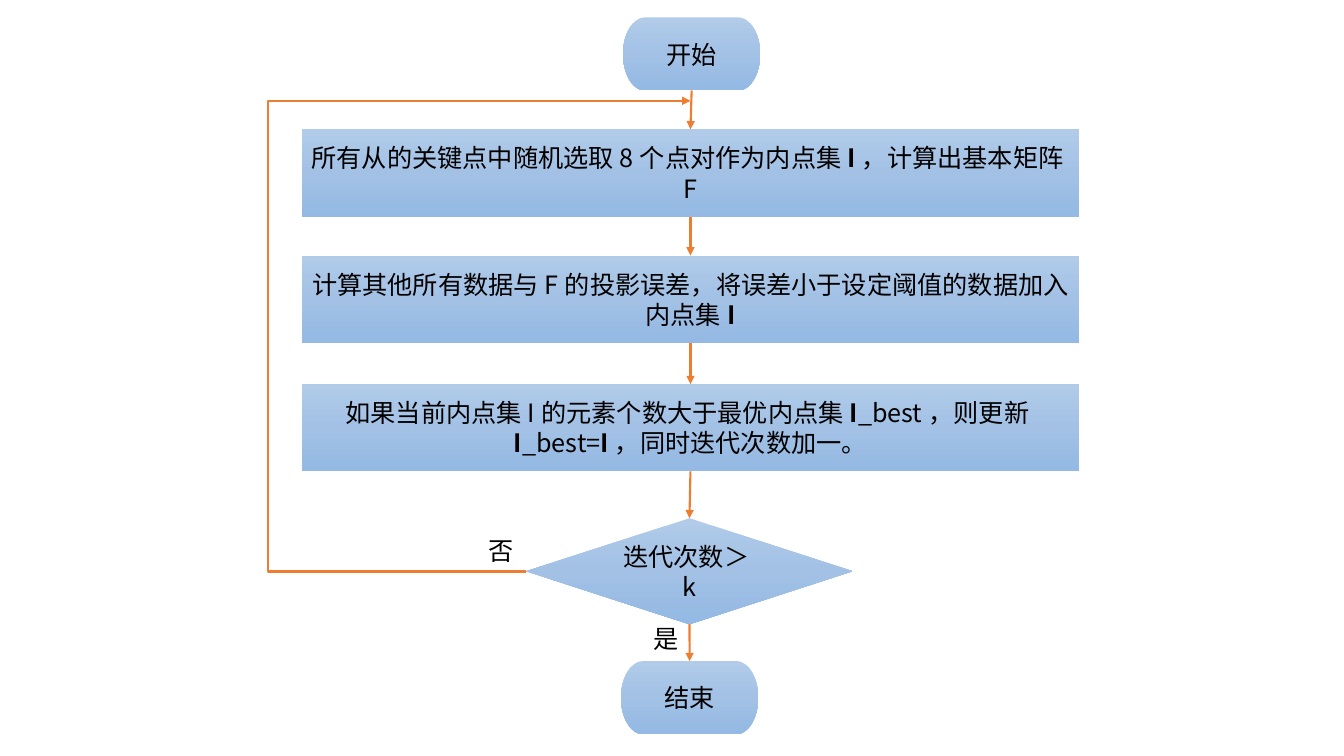
from copy import deepcopy
from dataclasses import dataclass

from lxml.etree import SubElement
from pptx import Presentation
from pptx.dml.color import RGBColor
from pptx.enum.shapes import MSO_CONNECTOR, MSO_SHAPE
from pptx.enum.text import MSO_ANCHOR, MSO_AUTO_SIZE, PP_ALIGN
from pptx.oxml.ns import qn
from pptx.util import Cm, Pt


@dataclass(frozen=True)
class Theme:
    """Colours, font and sizes of the flow chart."""
    font: str = "Noto Sans CJK SC"
    size: int = 18
    ink: str = "000000"
    line: str = "ED7D31"
    weight: float = 1.5
    shades: tuple = ("B1CBE9", "A3C1E5", "93B9E4")


class Chart:
    """Draws flow chart parts on one slide."""

    def __init__(self, slide, theme):
        """Keep the slide and its theme."""
        self.shapes = slide.shapes
        self.theme = theme

    def letter(self, frame, text, align):
        """Fill a text frame; parts between asterisks are bold."""
        frame.word_wrap = True
        para = frame.paragraphs[0]
        para.alignment = align
        for index, part in enumerate(text.split("*")):
            if not part:
                continue
            run = para.add_run()
            run.text = part
            font = run.font
            font.size = Pt(self.theme.size)
            font.name = self.theme.font
            font.bold = index % 2 == 1
            font.color.rgb = RGBColor.from_string(self.theme.ink)
            props = run._r.get_or_add_rPr()
            SubElement(props, qn("a:ea"), typeface=self.theme.font)

    def shade(self, fill):
        """Apply the three-stop gradient from top to bottom."""
        fill.gradient()
        fill.gradient_angle = 270
        first = fill.gradient_stops[0]._gs
        first.addnext(deepcopy(first))
        for index, (stop, tone) in enumerate(zip(fill.gradient_stops, self.theme.shades)):
            stop.position = index / 2
            stop.color.rgb = RGBColor.from_string(tone)

    def node(self, kind, text, left, top, width, height):
        """Add a shaded step with centred text."""
        shape = self.shapes.add_shape(kind, Cm(left), Cm(top), Cm(width), Cm(height))
        shape.shadow.inherit = False
        shape.line.fill.background()
        self.shade(shape.fill)
        shape.text_frame.vertical_anchor = MSO_ANCHOR.MIDDLE
        self.letter(shape.text_frame, text, PP_ALIGN.CENTER)
        return shape

    def label(self, text, left, top):
        """Add a branch label."""
        box = self.shapes.add_textbox(Cm(left), Cm(top), Cm(1.45), Cm(1.02))
        box.text_frame.auto_size = MSO_AUTO_SIZE.SHAPE_TO_FIT_TEXT
        self.letter(box.text_frame, text, PP_ALIGN.LEFT)

    def arrow(self, kind, start=(0, 0), end=(0, 0)):
        """Add a connector with an arrowhead at its end."""
        link = self.shapes.add_connector(kind, *map(Cm, start + end))
        link.line.color.rgb = RGBColor.from_string(self.theme.line)
        link.line.width = Pt(self.theme.weight)
        props = link._element.spPr
        SubElement(props.find(qn("a:ln")), qn("a:tailEnd"), type="triangle")
        SubElement(props, qn("a:effectLst"))
        return link

    def join(self, upper, lower):
        """Link the bottom of one step to the top of the next."""
        link = self.arrow(MSO_CONNECTOR.STRAIGHT)
        link.begin_connect(upper, 2)
        link.end_connect(lower, 0)

    def loop(self, start, end, side):
        """Lead an arrow from start out to side, then up and across to end."""
        props = self.arrow(MSO_CONNECTOR.ELBOW, start, end)._element.spPr
        frame = props.find(qn("a:xfrm"))
        frame.attrib.pop("flipV", None)
        frame.set("rot", "10800000")
        frame.set("flipH", "1")
        geom = props.find(qn("a:prstGeom"))
        geom.set("prst", "bentConnector4")
        guides = geom.find(qn("a:avLst"))
        ratio = (side - start[0]) / (end[0] - start[0])
        for name, value in (("adj1", ratio), ("adj2", 1)):
            SubElement(guides, qn("a:gd"), name=name, fmla=f"val {round(value * 100000)}")


def main():
    """Build and save the flow chart."""
    deck = Presentation()
    deck.slide_width, deck.slide_height = Cm(33.87), Cm(19.05)
    chart = Chart(deck.slides.add_slide(deck.slide_layouts[6]), Theme())

    cap, step = MSO_SHAPE.FLOWCHART_TERMINATOR, MSO_SHAPE.FLOWCHART_PROCESS
    size = (3.46, 1.84)
    tasks = (
        (3.26, "所有从的关键点中随机选取8个点对作为内点集*I*\uff0c计算出基本矩阵F"),
        (6.44, "计算其他所有数据与F的投影误差\uff0c将误差小于设定阈值的数据加入内点集*I*"),
        (9.68, "如果当前内点集I的元素个数大于最优内点集*I*_best\uff0c则更新"
               "*I*_best=*I*\uff0c同时迭代次数加一。"),
    )
    nodes = [chart.node(cap, "开始", 15.7, 0.44, *size)]
    nodes += [chart.node(step, text, 7.6, top, 19.6, 2.2) for top, text in tasks]
    nodes.append(chart.node(MSO_SHAPE.FLOWCHART_DECISION, "迭代次数\uff1ek",
                            13.26, 13.06, 8.23, 2.67))
    nodes.append(chart.node(cap, "结束", 15.65, 16.66, *size))
    for upper, lower in zip(nodes, nodes[1:]):
        chart.join(upper, lower)

    chart.loop((13.26, 14.4), (17.4, 2.54), 6.76)
    chart.label("是", 16.21, 15.57)
    chart.label("否", 12.07, 13.36)
    deck.save("out.pptx")


main()
